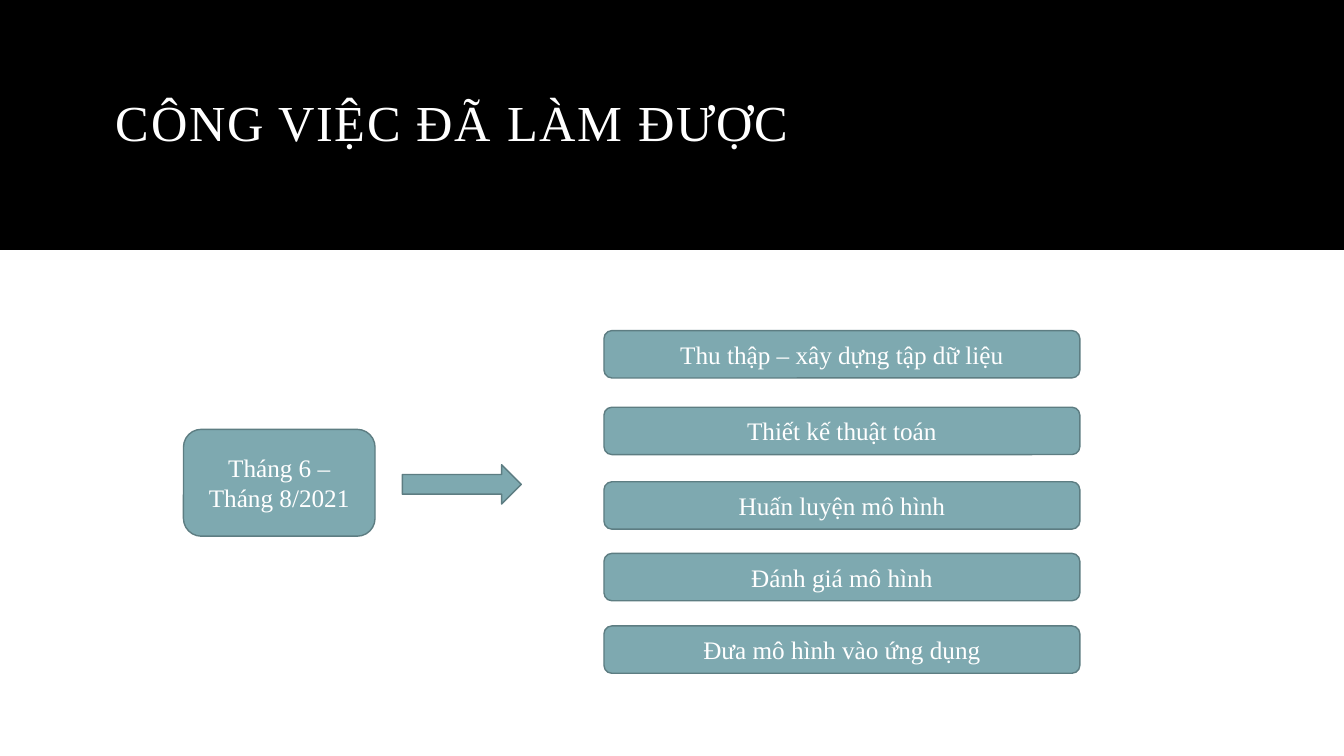
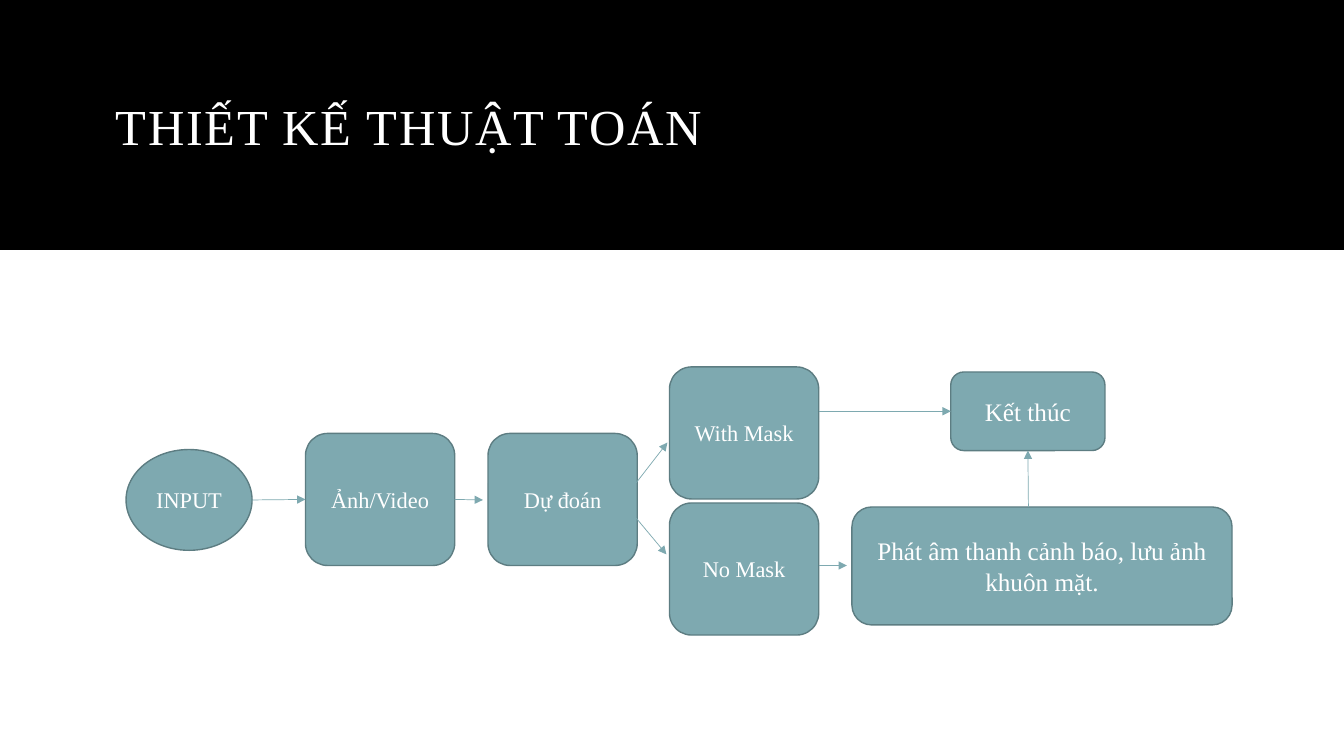
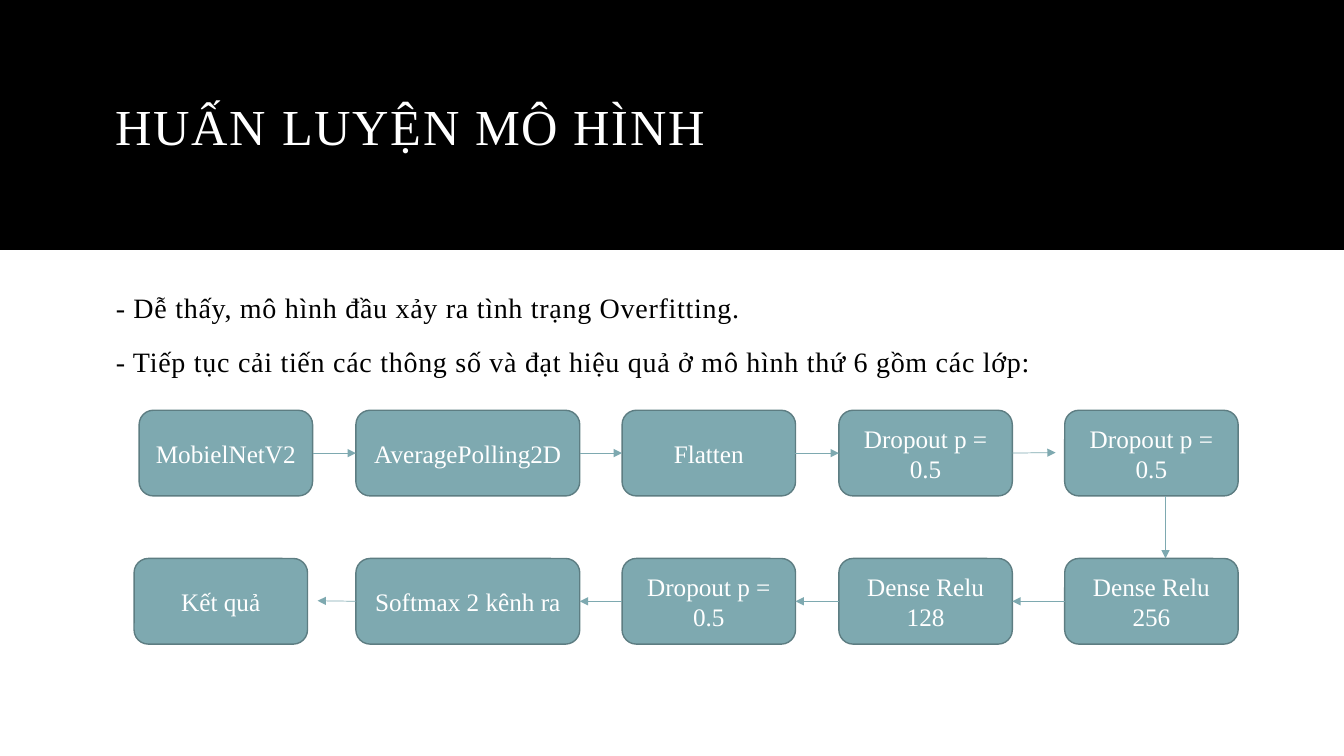
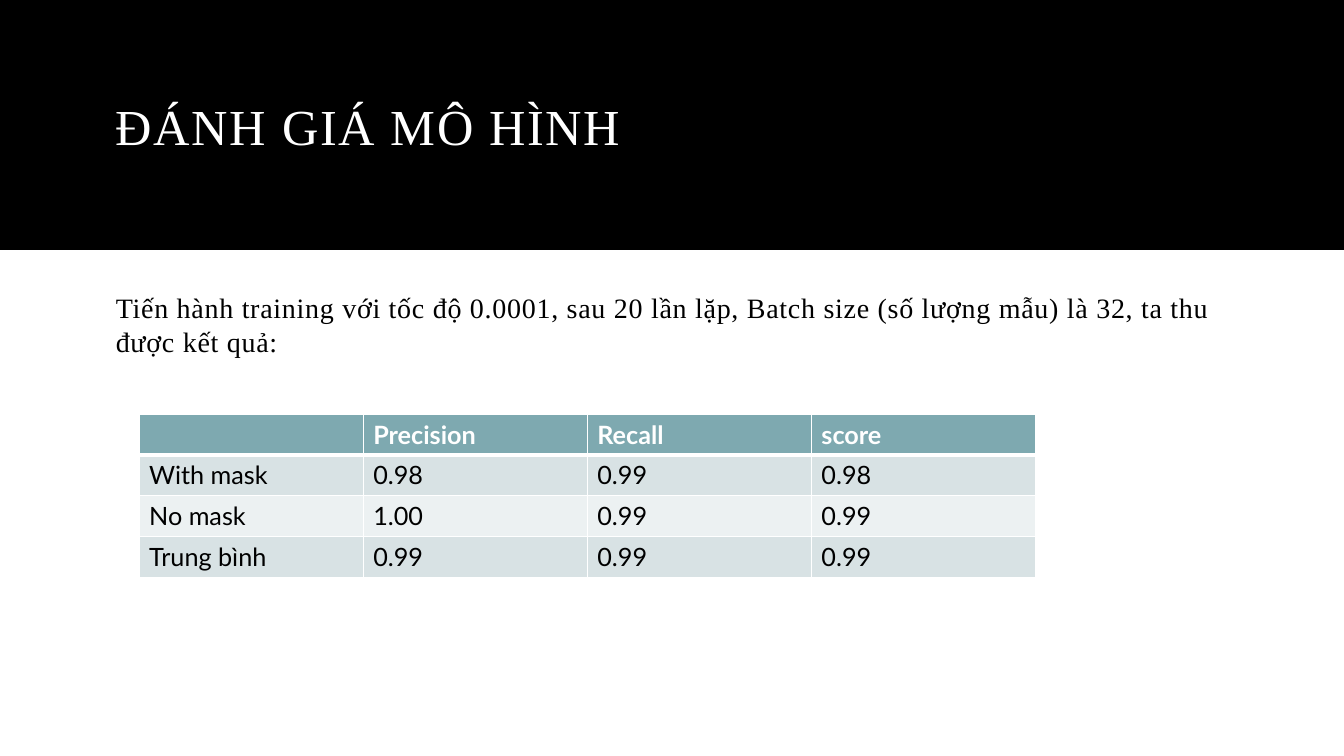
from dataclasses import dataclass

import pptx
import pptx.dml.color
import pptx.enum.shapes
import pptx.enum.text
import pptx.oxml
import pptx.oxml.ns
import pptx.util

Inches = pptx.util.Inches
Pt = pptx.util.Pt
Shapes = pptx.enum.shapes.MSO_SHAPE
Align = pptx.enum.text.PP_ALIGN
Anchor = pptx.enum.text.MSO_ANCHOR
qn = pptx.oxml.ns.qn


@dataclass(frozen=True)
class Theme:
    band: str = "000000"
    paper: str = "FFFFFF"
    ink: str = "000000"
    teal: str = "7EA9B0"
    outline: str = "5D7D82"
    row_dark: str = "D8E2E4"
    row_light: str = "ECF1F2"
    serif: str = "Times New Roman"
    sans: str = "Lato"
    title_size: int = 36
    body_size: int = 20
    box_size: int = 18
    step_size: int = 16


THEME = Theme()
TOP, LEFT, BOTTOM, RIGHT = range(4)
TITLE_BOX = (1.05, 0.35, 11.23, 1.86)
BODY_BOX = (1.05, 2.83, 11.23, 3.93)

# Content
PERIOD = "Tháng 6 – Tháng 8/2021"
TASKS = [
    (3.28, "Thu thập – xây dựng tập dữ liệu"),
    (4.04, "Thiết kế thuật toán"),
    (4.78, "Huấn luyện mô hình"),
    (5.49, "Đánh giá mô hình"),
    (6.21, "Đưa mô hình vào ứng dụng"),
]

STEP_WIDTH, STEP_HEIGHT = 1.48, 1.31
STEPS = [
    ("Ảnh/Video", 3.03, 4.3),
    ("Dự đoán", 4.84, 4.3),
    ("With Mask", 6.64, 3.64),
    ("No Mask", 6.64, 4.99),
]

TRAINING_NOTES = [
    "- Dễ thấy, mô hình đầu xảy ra tình trạng Overfitting.",
    "- Tiếp tục cải tiến các thông số và đạt hiệu quả ở mô hình thứ 6 gồm các lớp:",
]
LAYER_WIDTHS = [1.72, 2.22, 1.72, 1.72, 1.72]
LAYER_HEIGHT = 0.85
LAYER_ROWS = [
    (4.07, [1.38, 3.53, 6.17, 8.32, 10.56],
     ["MobielNetV2", "AveragePolling2D", "Flatten", "Dropout p = 0.5", "Dropout p = 0.5"]),
    (5.54, [1.33, 3.53, 6.17, 8.32, 10.56],
     ["Kết quả", "Softmax 2 kênh ra", "Dropout p = 0.5", "Dense Relu 128", "Dense Relu 256"]),
]

RESULT_NOTES = [
    "Tiến hành training với tốc độ 0.0001, sau 20 lần lặp, "
    "Batch size (số lượng mẫu) là 32, ta thu được kết quả:",
]
RESULTS = [
    ["", "Precision", "Recall", "score"],
    ["With mask", "0.98", "0.99", "0.98"],
    ["No mask", "1.00", "0.99", "0.99"],
    ["Trung bình", "0.99", "0.99", "0.99"],
]


# Shared helpers
def rgb(code):
    return pptx.dml.color.RGBColor.from_string(code)


def inches(values):
    return [Inches(value) for value in values]


def style(paragraph, size, color, name=THEME.serif, bold=False, align=Align.LEFT):
    paragraph.alignment = align
    font = paragraph.font
    font.name, font.size, font.bold = name, Pt(size), bold
    font.color.rgb = rgb(color)


def track(shape, points):
    """Set the letter spacing of every paragraph in a shape."""
    for properties in shape.element.iter(qn("a:defRPr")):
        properties.set("spc", str(round(points * 100)))


def add_band(presentation, slide, layout):
    """Draw the title band and place it at the back of the shared layout."""
    band = slide.shapes.add_shape(
        Shapes.RECTANGLE, 0, 0, presentation.slide_width, Inches(2.48))
    band.shadow.inherit = False
    band.fill.solid()
    band.fill.fore_color.rgb = rgb(THEME.band)
    band.line.fill.background()
    layout.shapes.element.insert(2, band.element)


def set_title(slide, text, height=TITLE_BOX[3]):
    title = slide.shapes.title
    title.left, title.top, title.width, title.height = inches(TITLE_BOX[:3] + (height,))
    frame = title.text_frame
    frame.text = text
    frame.auto_size = pptx.enum.text.MSO_AUTO_SIZE.NONE
    frame.vertical_anchor = Anchor.MIDDLE
    paragraph = frame.paragraphs[0]
    paragraph.line_spacing = 0.9
    style(paragraph, THEME.title_size, THEME.paper)
    track(title, 1.2)


def add_body(slide, lines):
    box = slide.shapes.add_textbox(*inches(BODY_BOX))
    frame = box.text_frame
    frame.word_wrap = True
    frame.text = "\n".join(lines)
    for index, paragraph in enumerate(frame.paragraphs):
        paragraph.line_spacing = 1.01
        paragraph.space_before = Pt(7 if index else 0)
        paragraph.space_after = Pt(7)
        style(paragraph, THEME.body_size, THEME.ink)
    track(box, 0.5)


def add_box(slide, text, position, kind=Shapes.ROUNDED_RECTANGLE, size=THEME.box_size):
    shape = slide.shapes.add_shape(kind, *inches(position))
    shape.shadow.inherit = False
    shape.fill.solid()
    shape.fill.fore_color.rgb = rgb(THEME.teal)
    shape.line.color.rgb = rgb(THEME.outline)
    shape.line.width = Pt(1)
    if text:
        frame = shape.text_frame
        frame.word_wrap = True
        frame.vertical_anchor = Anchor.MIDDLE
        frame.text = text
        style(frame.paragraphs[0], size, THEME.paper, align=Align.CENTER)
    return shape


def add_arrow(slide, start, end):
    """Each end is a point (x, y) in inches or a pair (shape, side)."""
    free = [(0, 0) if hasattr(first, "shape_id") else (first, second)
            for first, second in (start, end)]
    arrow = slide.shapes.add_connector(
        pptx.enum.shapes.MSO_CONNECTOR.STRAIGHT, *inches(free[0] + free[1]))
    for (first, side), join in ((start, arrow.begin_connect), (end, arrow.end_connect)):
        if hasattr(first, "shape_id"):
            join(first, side)
    arrow.line.color.rgb = rgb(THEME.teal)
    arrow.line.width = Pt(0.5)
    line = arrow.element.spPr.find(qn("a:ln"))
    pptx.oxml.ns.qn  # namespace helper shared by the XML parts
    line.append(pptx.oxml.parse_xml(
        f'<a:tailEnd {pptx.oxml.ns.nsdecls("a")} type="triangle"/>'))
    arrow.element.spPr.append(pptx.oxml.parse_xml(
        f'<a:effectLst {pptx.oxml.ns.nsdecls("a")}/>'))


def set_borders(cell, widths):
    properties = cell._tc.get_or_add_tcPr()
    for side, width in widths.items():
        properties.append(pptx.oxml.parse_xml(
            f'<a:ln{side} {pptx.oxml.ns.nsdecls("a")} w="{Pt(width)}"><a:solidFill>'
            f'<a:srgbClr val="{THEME.paper}"/></a:solidFill></a:ln{side}>'))


# Slides
def build_work_done(slide):
    set_title(slide, "CÔNG VIỆC ĐÃ LÀM ĐƯỢC", height=1.79)
    add_box(slide, PERIOD, (1.82, 4.26, 1.9, 1.06))
    add_box(slide, "", (3.99, 4.61, 1.18, 0.39), Shapes.RIGHT_ARROW)
    for top, task in TASKS:
        add_box(slide, task, (5.99, top, 4.72, 0.47))


def build_algorithm(slide):
    set_title(slide, "THIẾT KẾ THUẬT TOÁN")
    add_box(slide, "INPUT", (1.25, 4.46, 1.25, 1), Shapes.OVAL, THEME.step_size)
    media, predict, with_mask, no_mask = [
        add_box(slide, text, (left, top, STEP_WIDTH, STEP_HEIGHT), size=THEME.step_size)
        for text, left, top in STEPS]
    add_box(slide, "Phát âm thanh cảnh báo, lưu ảnh khuôn mặt.", (8.45, 5.03, 3.77, 1.17))
    finish = add_box(slide, "Kết thúc", (9.43, 3.69, 1.53, 0.78))
    for start, end in [
        ((2.5, 4.96), (media, LEFT)),
        ((media, RIGHT), (4.79, 4.96)),
        ((6.31, 4.79), (6.62, 4.39)),
        ((6.31, 5.14), (6.61, 5.5)),
        ((8.12, 5.61), (8.4, 5.61)),
        ((8.12, 4.08), (finish, LEFT)),
        ((10.2, 5.03), (finish, BOTTOM)),
    ]:
        add_arrow(slide, start, end)


def build_training(slide):
    set_title(slide, "HUẤN LUYỆN MÔ HÌNH")
    add_body(slide, TRAINING_NOTES)
    upper, lower = [
        [add_box(slide, text, (left, top, width, LAYER_HEIGHT))
         for text, left, width in zip(texts, lefts, LAYER_WIDTHS)]
        for top, lefts, texts in LAYER_ROWS]
    # The upper row runs right, the lower row runs back left
    for left_box, right_box in zip(upper[:-2], upper[1:-1]):
        add_arrow(slide, (left_box, RIGHT), (right_box, LEFT))
    add_arrow(slide, (upper[-2], RIGHT), (10.47, 4.49))
    add_arrow(slide, (11.56, 4.92), (11.56, 5.54))
    for left_box, right_box in reversed(list(zip(lower[1:-1], lower[2:]))):
        add_arrow(slide, (right_box, LEFT), (left_box, RIGHT))
    add_arrow(slide, (lower[1], LEFT), (3.15, 5.96))


def build_results(slide):
    set_title(slide, "ĐÁNH GIÁ MÔ HÌNH")
    add_body(slide, RESULT_NOTES)
    table = slide.shapes.add_table(
        len(RESULTS), len(RESULTS[0]), *inches((1.38, 4.11, 8.89, 1.62))).table
    for row, values in enumerate(RESULTS):
        header = row == 0
        fill = THEME.teal if header else THEME.row_dark if row % 2 else THEME.row_light
        for column, value in enumerate(values):
            cell = table.cell(row, column)
            set_borders(cell, {"L": 1, "R": 1, "T": 3 if row == 1 else 1,
                               "B": 3 if header else 1})
            cell.fill.solid()
            cell.fill.fore_color.rgb = rgb(fill)
            cell.text = value
            style(cell.text_frame.paragraphs[0], THEME.box_size,
                  THEME.paper if header else THEME.ink, THEME.sans, bold=header)


def main():
    presentation = pptx.Presentation()
    presentation.slide_width, presentation.slide_height = Inches(13.33), Inches(7.5)
    layout = presentation.slide_layouts.get_by_name("Title Only")
    builders = [build_work_done, build_algorithm, build_training, build_results]
    slides = [presentation.slides.add_slide(layout) for _ in builders]
    add_band(presentation, slides[0], layout)
    for build, slide in zip(builders, slides):
        build(slide)
    presentation.save("out.pptx")


if __name__ == "__main__":
    main()
